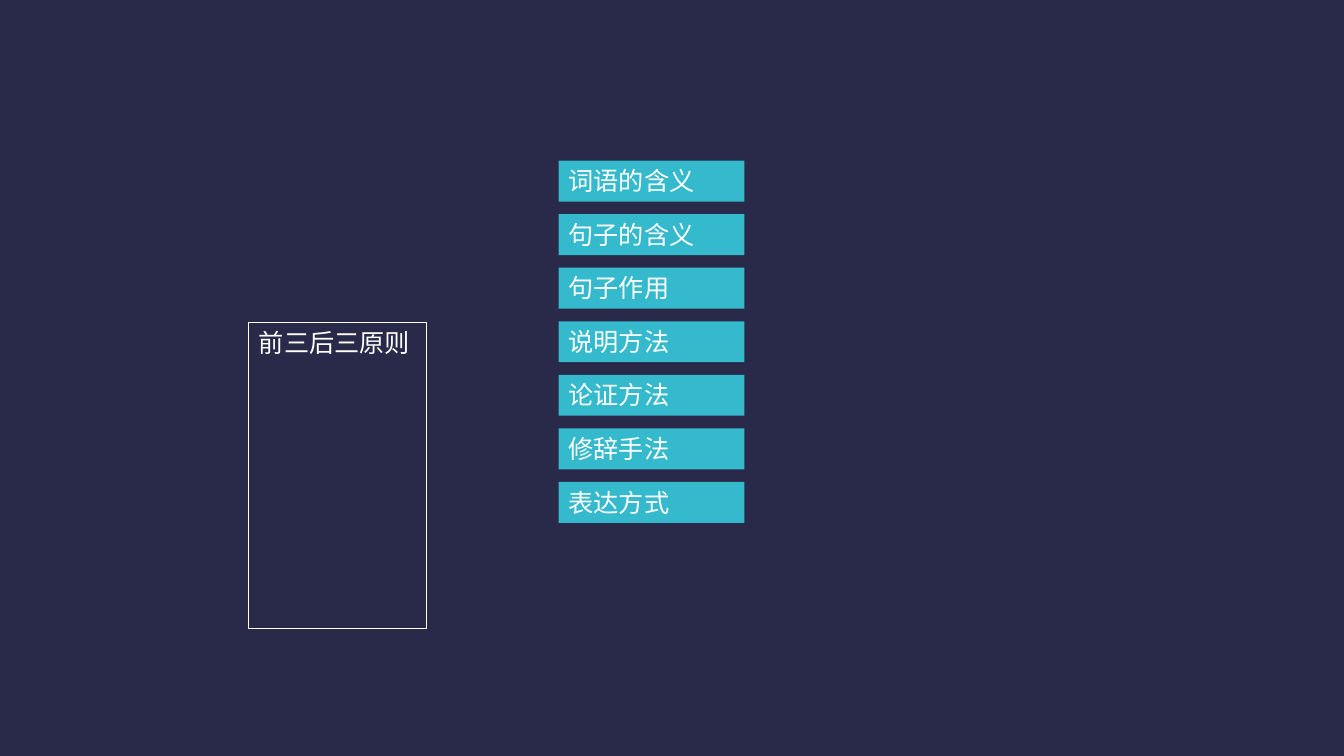
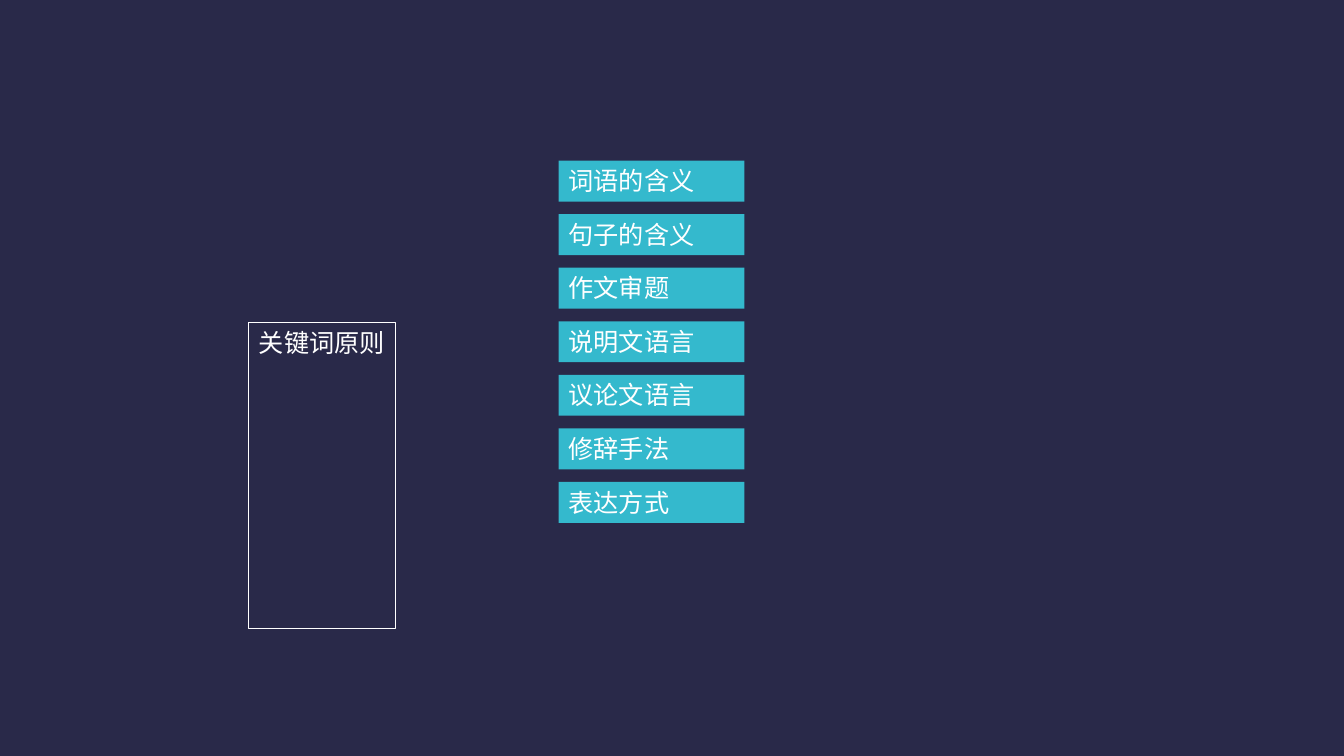
"""Build two slides that list the question types for each answering principle."""
import pptx
import pptx.dml.color
import pptx.enum.shapes
import pptx.enum.text
import pptx.util

PX = 9525
SLIDE_SIZE = (1280, 720)
TITLE_ONLY = 5
FONT = "Calibri"
NAVY, TEAL, WHITE = "292949", "34B9CD", "FFFFFF"
BOX_HEIGHT = 39
TITLE_LEFT, TITLE_TOP = 237, 307
BAND_LEFT, BAND_TOP, BAND_WIDTH, BAND_PITCH = 532, 153, 177, 51

SLIDES = [
    ("前三后三原则", 169,
     ["词语的含义", "句子的含义", "句子作用", "说明方法", "论证方法", "修辞手法", "表达方式"]),
    ("关键词原则", 140,
     ["词语的含义", "句子的含义", "作文审题", "说明文语言", "议论文语言", "修辞手法", "表达方式"]),
]


def px(length):
    """Turn whole pixels into EMU."""
    return pptx.util.Emu(length * PX)


def color(hex_string):
    """Turn a hex string into a colour."""
    return pptx.dml.color.RGBColor.from_string(hex_string)


def paint(fill, hex_string):
    """Make a fill solid in one colour."""
    fill.solid()
    fill.fore_color.rgb = color(hex_string)


def write_text(box, text):
    """Put one line of white text at the top left of a box."""
    frame = box.text_frame
    frame.text = text
    frame.word_wrap = True
    frame.auto_size = pptx.enum.text.MSO_AUTO_SIZE.SHAPE_TO_FIT_TEXT
    frame.vertical_anchor = pptx.enum.text.MSO_ANCHOR.TOP
    para = frame.paragraphs[0]
    para.alignment = pptx.enum.text.PP_ALIGN.JUSTIFY
    para.space_before = pptx.util.Pt(0)
    para.space_after = pptx.util.Pt(8)
    font = para.runs[0].font
    font.name = FONT
    font.size = pptx.util.Pt(18)
    font.color.rgb = color(WHITE)


def frame_title(slide, text, width):
    """Place the slide title in a thin white frame."""
    title = slide.shapes.title
    title.left, title.top = px(TITLE_LEFT), px(TITLE_TOP)
    title.width, title.height = px(width), px(BOX_HEIGHT)
    paint(title.line.fill, WHITE)
    title.line.width = pptx.util.Pt(0.75)
    write_text(title, text)


def add_band(slide, row, text):
    """Add one teal band at its row in the column."""
    band = slide.shapes.add_shape(
        pptx.enum.shapes.MSO_SHAPE.RECTANGLE,
        px(BAND_LEFT), px(BAND_TOP + row * BAND_PITCH), px(BAND_WIDTH), px(BOX_HEIGHT))
    band.shadow.inherit = False
    paint(band.fill, TEAL)
    band.line.fill.background()
    write_text(band, text)


def main():
    """Build and save the deck."""
    deck = pptx.Presentation()
    deck.slide_width, deck.slide_height = map(px, SLIDE_SIZE)
    paint(deck.slide_master.background.fill, NAVY)
    for principle, width, topics in SLIDES:
        slide = deck.slides.add_slide(deck.slide_layouts[TITLE_ONLY])
        frame_title(slide, principle, width)
        for row, topic in enumerate(topics):
            add_band(slide, row, topic)
    deck.save("out.pptx")


if __name__ == "__main__":
    main()
